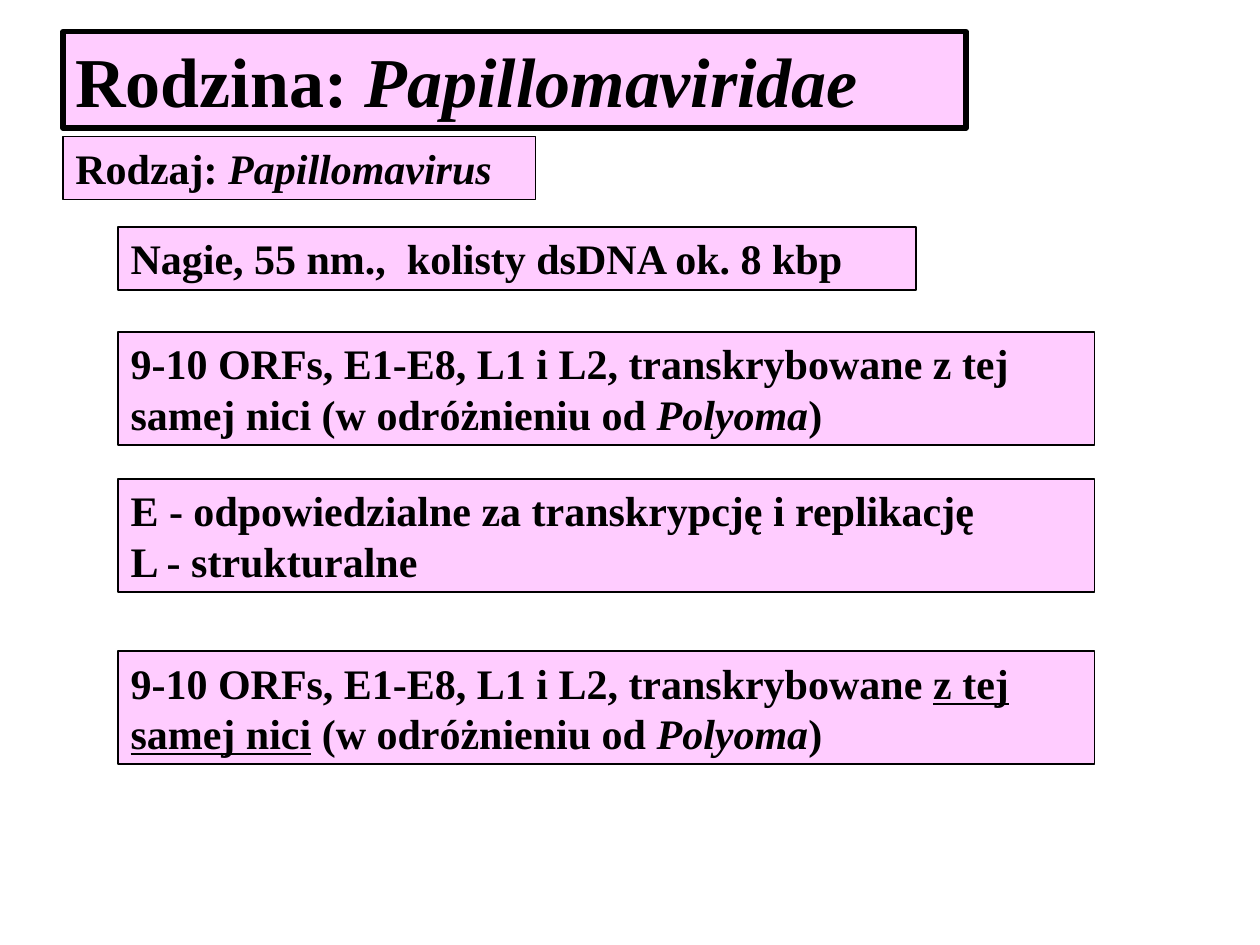
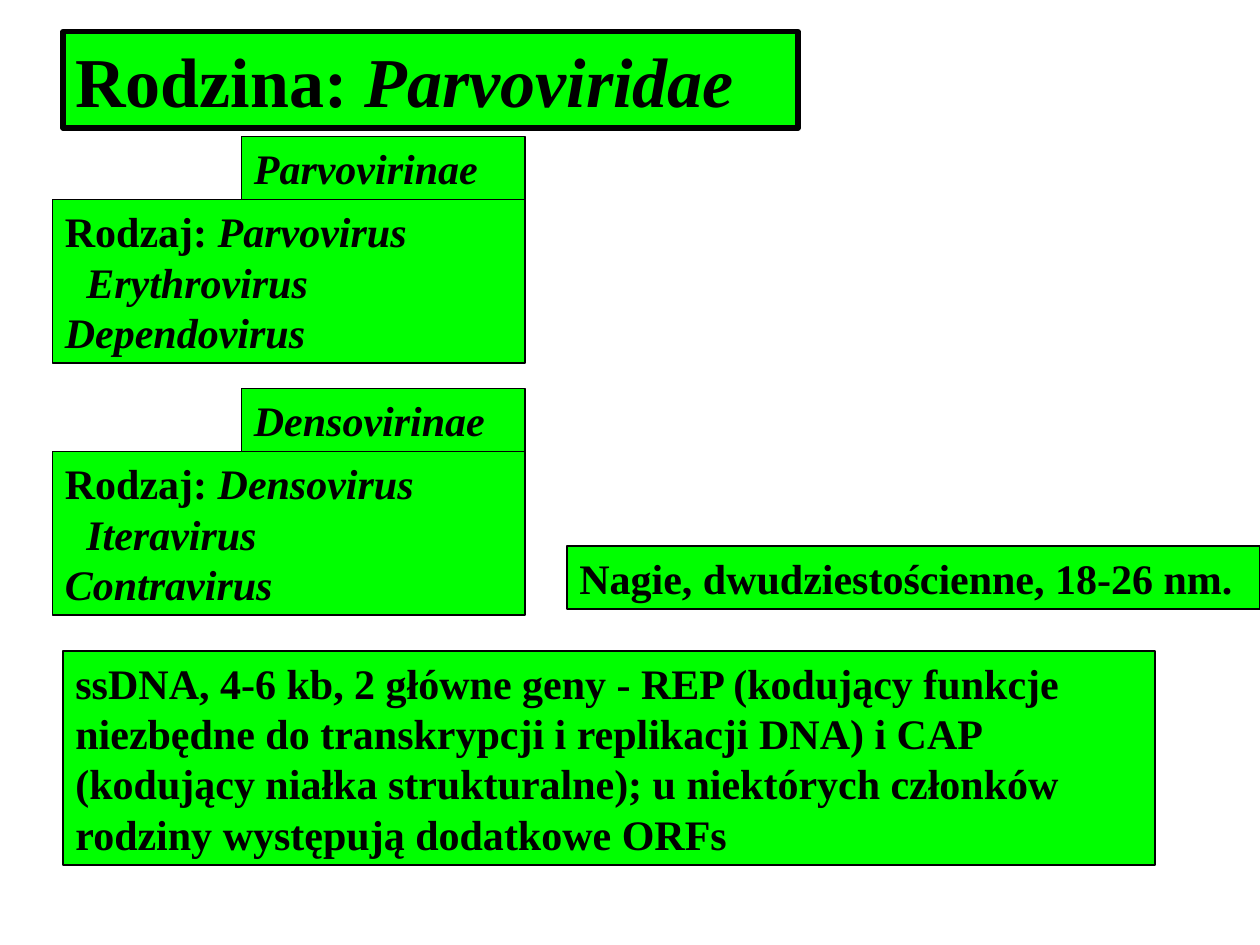
from pptx import Presentation
from pptx.dml.color import RGBColor
from pptx.enum.shapes import MSO_SHAPE
from pptx.enum.text import MSO_ANCHOR, PP_ALIGN
from pptx.util import Inches, Pt

RECTANGLE = MSO_SHAPE.RECTANGLE
TOP, LEFT = MSO_ANCHOR.TOP, PP_ALIGN.LEFT

BLACK = RGBColor(0x00, 0x00, 0x00)
WHITE = RGBColor(0xFF, 0xFF, 0xFF)
PINK = RGBColor(0xFF, 0xCC, 0xFF)
GREEN = RGBColor(0x00, 0xFF, 0x00)

COLUMNS, ROWS = 120, 90
MARGIN = 6
TITLE_ROW, TITLE_ROWS = 3, 9.2
SUBTITLE_ROW = 13
LINE_ROWS, PADDING_ROWS = 4.8, 1.2
GENUS_INDENT = Inches(0.17)

PLAIN = {}
ITALIC = {"italic": True}
UNDERLINED = {"underline": True}


class Deck:
    """Holds the shared style, the grid and the slide being filled."""

    base_font = {"name": "Times New Roman", "bold": True}

    def __init__(self):
        self.prs = Presentation()
        self.prs.slide_width, self.prs.slide_height = Inches(10), Inches(7.5)
        self.column = self.prs.slide_width / COLUMNS
        self.row = self.prs.slide_height / ROWS

    def start_slide(self, accent):
        self.accent = accent
        self.slide = self.prs.slides.add_slide(self.prs.slide_layouts[6])
        self.slide.background.fill.solid()
        self.slide.background.fill.fore_color.rgb = WHITE

    def box(self, column, row, columns, rows, border):
        shape = self.slide.shapes.add_shape(
            RECTANGLE, round(column * self.column), round(row * self.row),
            round(columns * self.column), round(rows * self.row))
        shape.shadow.inherit = False
        shape.fill.solid()
        shape.fill.fore_color.rgb = self.accent
        shape.line.color.rgb = BLACK
        shape.line.width = Pt(border)
        shape.text_frame.word_wrap = True
        shape.text_frame.vertical_anchor = TOP
        return shape.text_frame

    def set_text(self, frame, paragraphs, size):
        """Fill a frame with paragraphs, each a list of (text, format) runs."""
        for index, runs in enumerate(paragraphs):
            paragraph = frame.add_paragraph() if index else frame.paragraphs[0]
            paragraph.alignment = LEFT
            for text, extra in runs:
                run = paragraph.add_run()
                run.text = text
                run.font.color.rgb = BLACK
                for key, value in {**self.base_font, "size": Pt(size), **extra}.items():
                    setattr(run.font, key, value)

    def title(self, family, columns):
        frame = self.box(MARGIN, TITLE_ROW, columns, TITLE_ROWS, border=3)
        self.set_text(frame, [[("Rodzina: ", PLAIN), (family, ITALIC)]], size=40)

    def card(self, column, row, columns, *paragraphs, lines=1):
        """Draw a box as tall as its number of text lines."""
        frame = self.box(column, row, columns,
                         lines * LINE_ROWS + PADDING_ROWS, border=1)
        self.set_text(frame, paragraphs, size=24)
        return frame

    def subfamily(self, row, name, genera):
        """Draw a list of genera with the subfamily tab on its right shoulder."""
        first, second, third = genera
        genus_list = self.card(
            5, row + LINE_ROWS + PADDING_ROWS, 45,
            [("Rodzaj: ", PLAIN), (first, ITALIC)],
            [(second, ITALIC)], [(third, ITALIC)], lines=3)
        indented = genus_list.paragraphs[1]._p.get_or_add_pPr()
        indented.set("marL", str(GENUS_INDENT))
        self.card(23, row, 27, [(name, ITALIC)])


def papillomaviruses(deck):
    fact_column, wide = 11.25, 93
    orfs = "9-10 ORFs, E1-E8, L1 i L2, transkrybowane "
    strand = "z tej samej nici"
    contrast = [(" (w odróżnieniu od ", PLAIN), ("Polyoma", ITALIC), (")", PLAIN)]

    deck.start_slide(PINK)
    deck.title("Papillomaviridae", 86)
    deck.card(MARGIN, SUBTITLE_ROW, 45,
              [("Rodzaj: ", PLAIN), ("Papillomavirus", ITALIC)])
    deck.card(fact_column, 21.6, 76,
              [("Nagie, 55 nm.,  kolisty dsDNA ok. 8 kbp", PLAIN)])
    for row, emphasis in ((31.6, PLAIN), (62, UNDERLINED)):
        deck.card(fact_column, row, wide,
                  [(orfs, PLAIN), (strand, emphasis), *contrast], lines=2)
    deck.card(fact_column, 45.6, wide,
              [("E - odpowiedzialne za transkrypcję i replikację", PLAIN)],
              [("L - strukturalne", PLAIN)], lines=2)


def parvoviruses(deck):
    deck.start_slide(GREEN)
    deck.title("Parvoviridae", 70)
    deck.subfamily(SUBTITLE_ROW, "Parvovirinae",
                   ("Parvovirus", "Erythrovirus", "Dependovirus"))
    deck.subfamily(37, "Densovirinae",
                   ("Densovirus", "Iteravirus", "Contravirus"))
    deck.card(54, 52, 66, [("Nagie, dwudziestościenne, 18-26 nm.", PLAIN)])
    deck.card(MARGIN, 62, 104, [(
        "ssDNA, 4-6 kb, 2 główne geny - REP (kodujący funkcje niezbędne do "
        "transkrypcji i replikacji DNA) i CAP (kodujący niałka strukturalne); "
        "u niektórych członków rodziny występują dodatkowe ORFs", PLAIN)], lines=4)


def main():
    deck = Deck()
    papillomaviruses(deck)
    parvoviruses(deck)
    deck.prs.save("out.pptx")


if __name__ == "__main__":
    main()
